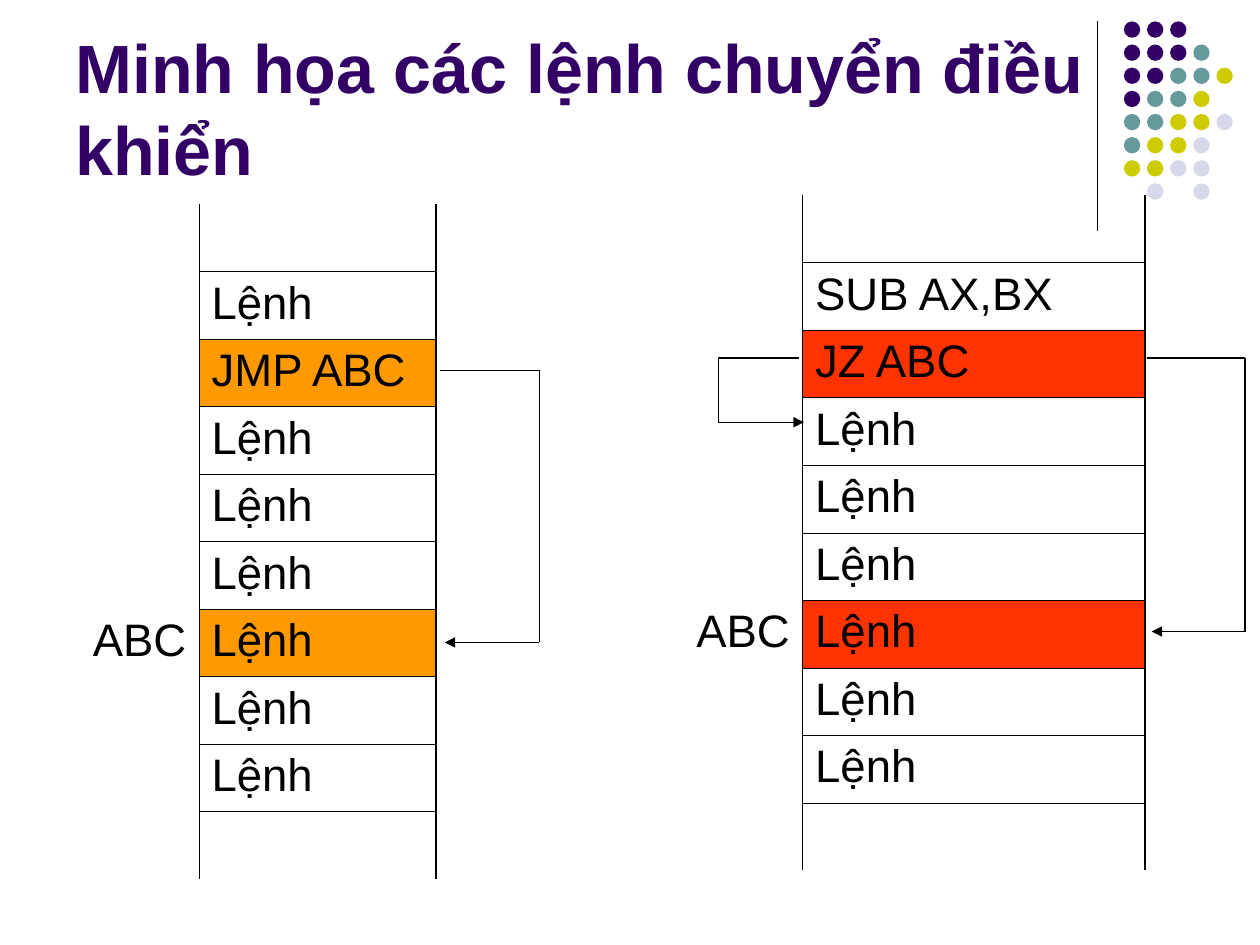
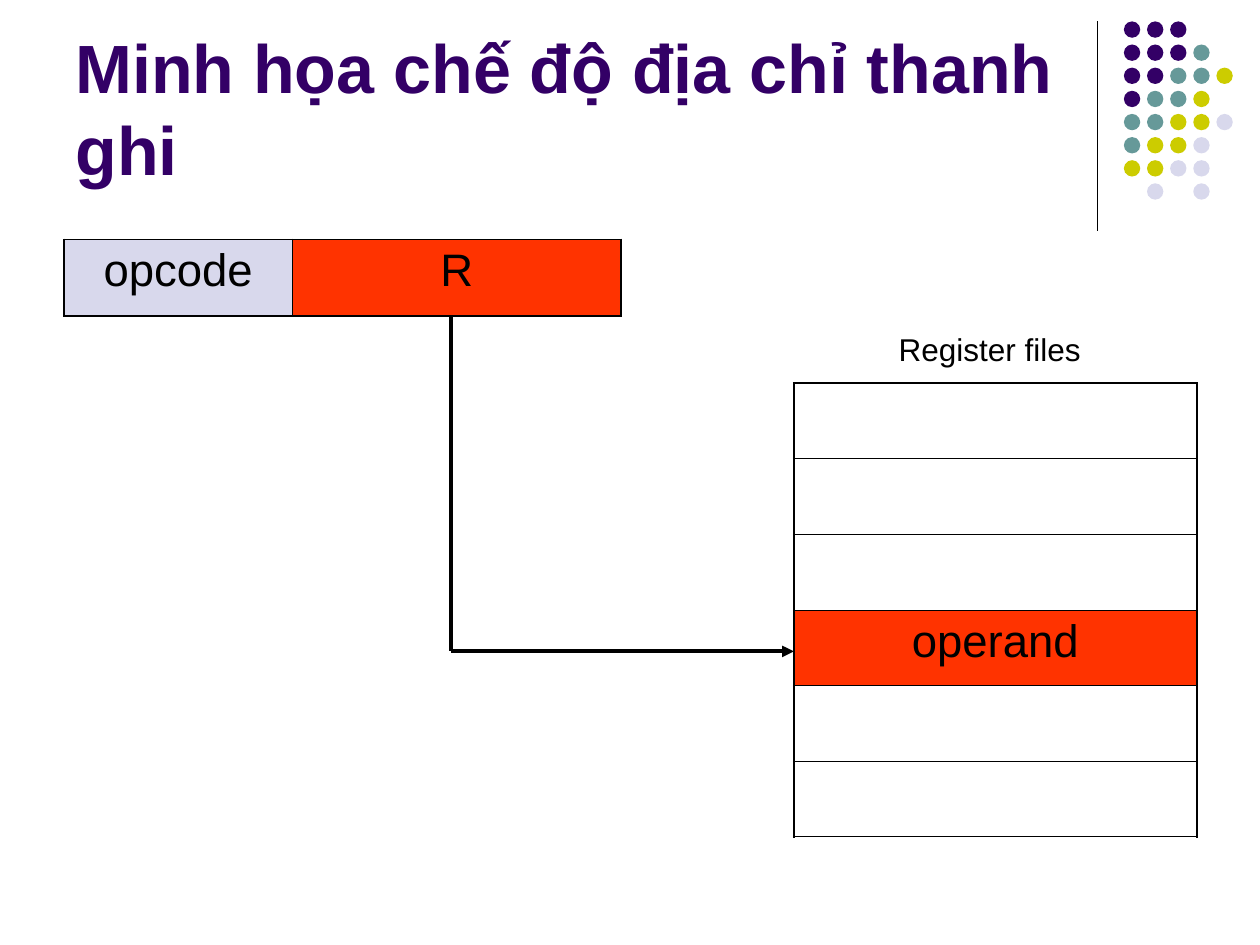
from lxml import etree
from pptx import Presentation
from pptx.dml.color import RGBColor
from pptx.enum.shapes import MSO_CONNECTOR, MSO_SHAPE
from pptx.enum.text import MSO_ANCHOR, PP_ALIGN
from pptx.oxml.ns import qn
from pptx.util import Inches, Pt

LEFT, MID, RIGHT = PP_ALIGN.LEFT, PP_ALIGN.CENTER, PP_ALIGN.RIGHT
TOP, BOTTOM = MSO_ANCHOR.TOP, MSO_ANCHOR.BOTTOM
OVAL, LINE = MSO_SHAPE.OVAL, MSO_CONNECTOR.STRAIGHT

WIDE, HIGH = 10, 7.5
FONT = "Arial"
BLACK, NAVY, TEAL, LIME, PALE = "000000", "330066", "669999", "CCCC00", "D8D8EC"
GOLD, RED = "FF9900", "FF3300"
THIN, THICK = 0.45, 1.08

# Dot pattern in the top right corner, one letter a dot
DOTS = ["NNN", "NNNT", "NNTTL", "NTTL", "TTLLP", "TLLP", "LLPP", " P P"]
DOT_FILL = {"N": NAVY, "T": TEAL, "L": LIME, "P": PALE}
DOT_X, DOT_Y, DOT_STEP, DOT = 8.92, 0.17, 0.18, 0.13

TITLES = ["Minh họa các lệnh chuyển điều khiển",
          "Minh họa chế độ địa chỉ thanh ghi"]

# Memory columns; each arrow is a list of (x, row) corners
JUMPS = [
    {"at": (0.51, 1.62), "cols": [1.07, 1.88], "fill": GOLD,
     "code": ["Lệnh", "JMP ABC"],
     "arrows": [[(3.49, 2.46), (4.28, 2.46), (4.28, 6.49), (3.53, 6.49)]]},
    {"at": (4.76, 1.55), "cols": [1.61, 2.72], "fill": RED,
     "code": ["SUB AX,BX", "JZ ABC"],
     "arrows": [[(9.1, 2.41), (9.88, 2.41), (9.88, 6.46), (9.14, 6.46)],
                [(6.34, 2.41), (5.7, 2.41), (5.7, 3.36), (6.38, 3.36)]]},
]
STEP, LABEL, ROWS, JUMP_ROW, GOAL_ROW = "Lệnh", "ABC", 10, 2, 6
ROW = 5.36 / ROWS

WORD = [[("opcode", PALE), ("R", RED)]]
FILES = [[("", None)], [("", None)], [("", None)], [("operand", RED)],
         [("", None)], [("", None)]]


def rgb(code):
    return RGBColor.from_string(code)


def write(frame, text, size=26, color=BLACK, bold=False, align=LEFT, anchor=TOP):
    frame.word_wrap = True
    frame.vertical_anchor = anchor
    para = frame.paragraphs[0]
    para.alignment = align
    run = para.add_run()
    run.text = text
    font = run.font
    font.name, font.size, font.bold = FONT, Pt(size), bold
    font.color.rgb = rgb(color)


def label(slide, box, text, **form):
    shape = slide.shapes.add_textbox(*map(Inches, box))
    write(shape.text_frame, text, **form)


def line(slide, start, end, width=0.75, head=False):
    link = slide.shapes.add_connector(LINE, *map(Inches, (*start, *end)))
    link.line.color.rgb = rgb(BLACK)
    link.line.width = Pt(width)
    if head:
        etree.SubElement(link.line._get_or_add_ln(), qn("a:tailEnd"), type="triangle")
    etree.SubElement(link._element.spPr, qn("a:effectLst"))


def route(slide, points, width=0.75):
    """Draw straight legs through the points, with an arrowhead at the last."""
    for i, (start, end) in enumerate(zip(points, points[1:]), 2):
        line(slide, start, end, width, head=i == len(points))


def border(cell, widths):
    """Set the cell's edges; a width of 0 leaves an edge bare."""
    props = cell._tc.get_or_add_tcPr()
    for side in "LRTB":
        edge = etree.SubElement(props, qn("a:ln" + side), w=str(Pt(widths[side])))
        if widths[side]:
            fill = etree.SubElement(edge, qn("a:solidFill"))
            etree.SubElement(fill, qn("a:srgbClr"), val=BLACK)
        else:
            etree.SubElement(edge, qn("a:noFill"))


def grid(slide, at, cols, high, cells, aligns, memory=False):
    """Add a table; a memory column is open at both ends, with bare labels at left."""
    count = len(cells)
    frame = slide.shapes.add_table(count, len(cols), *map(Inches, (*at, sum(cols), high * count)))
    table = frame.table
    table.first_row = table.horz_banding = False
    for col, width in zip(table.columns, cols):
        col.width = Inches(width)
    ends = 0 if memory else THICK
    for r, row in enumerate(cells):
        table.rows[r].height = Inches(high)
        for c, (text, fill) in enumerate(row):
            cell = table.cell(r, c)
            widths = {"L": THIN if c else ends,
                      "R": THIN if c < len(cols) - 1 else THICK,
                      "T": THIN if r else ends,
                      "B": THIN if r < count - 1 else ends}
            if memory and c == 0:
                widths.update(T=0, B=0)
            border(cell, widths)
            if fill:
                cell.fill.solid()
                cell.fill.fore_color.rgb = rgb(fill)
            else:
                cell.fill.background()
            if text:
                write(cell.text_frame, text, align=aligns[c])


def base(deck, title):
    """Add a slide with the shared rule, dots and title."""
    slide = deck.slides.add_slide(deck.slide_layouts[6])
    line(slide, (8.71, 0.17), (8.71, 1.83))
    for r, row in enumerate(DOTS):
        for c, key in enumerate(row):
            if key == " ":
                continue
            x, y = DOT_X + c * DOT_STEP * 1.02, DOT_Y + r * DOT_STEP * 1.02
            dot = slide.shapes.add_shape(OVAL, *map(Inches, (x, y, DOT, DOT)))
            dot.shadow.inherit = False
            dot.fill.solid()
            dot.fill.fore_color.rgb = rgb(DOT_FILL[key])
            dot.line.fill.background()
    label(slide, (0.5, 0.13, 8.25, 1.42), title, size=39, color=NAVY, bold=True, anchor=BOTTOM)
    return slide


def jumps(slide):
    for jump in JUMPS:
        code = ["", *jump["code"]]
        code += [STEP] * (ROWS - 1 - len(code)) + [""]
        cells = [[(LABEL if r == GOAL_ROW else "", None),
                  (text, jump["fill"] if r in (JUMP_ROW, GOAL_ROW) else None)]
                 for r, text in enumerate(code)]
        grid(slide, jump["at"], jump["cols"], ROW, cells, [RIGHT, LEFT], memory=True)
        top = jump["at"][1]
        for arrow in jump["arrows"]:
            route(slide, [(x, top + r * ROW) for x, r in arrow])


def register(slide):
    route(slide, [(3.58, 2.49), (3.58, 5.17), (6.3, 5.17)], width=2.25)
    grid(slide, (6.3, 3.04), [3.2], 0.6, FILES, [MID])
    grid(slide, (0.51, 1.9), [1.81, 2.61], 0.61, WORD, [MID, MID])
    label(slide, (6.26, 2.57, 3.19, 0.4), "Register files", size=18, align=MID)


def main():
    deck = Presentation()
    deck.slide_width, deck.slide_height = Inches(WIDE), Inches(HIGH)
    for title, draw in zip(TITLES, (jumps, register)):
        draw(base(deck, title))
    deck.save("out.pptx")


if __name__ == "__main__":
    main()
